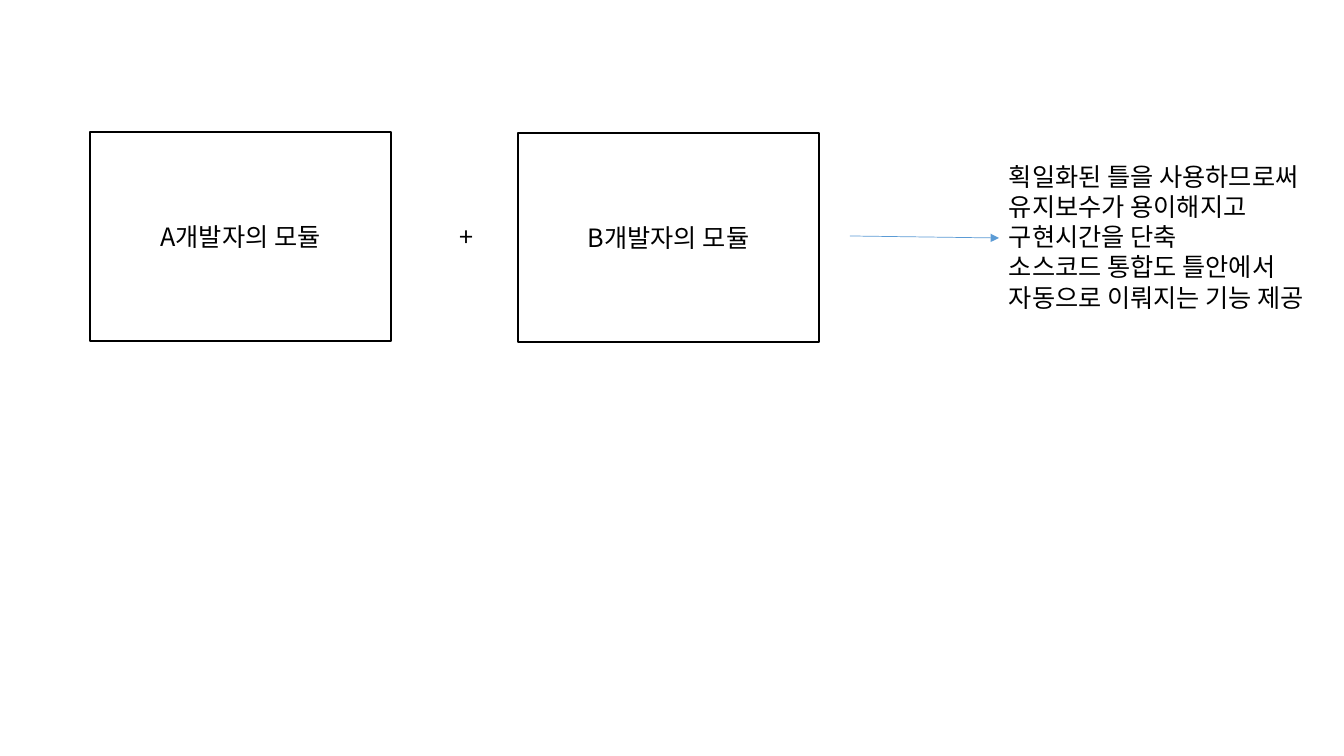
from lxml.etree import SubElement
from pptx import Presentation
from pptx.dml.color import RGBColor
from pptx.enum.shapes import MSO_CONNECTOR as Connector, MSO_SHAPE as Shape
from pptx.enum.text import MSO_ANCHOR as Anchor, PP_ALIGN as Align
from pptx.oxml.ns import qn
from pptx.util import Pt

EMU_PER_PIXEL = 914400 / 100.8
FONT = "Noto Sans CJK KR"
BLACK = "000000"
BLUE = "5B9BD5"
BENEFITS = [
    "획일화된 틀을 사용하므로써",
    "유지보수가 용이해지고",
    "구현시간을 단축",
    "소스코드 통합도 틀안에서 ",
    "자동으로 이뤄지는 기능 제공",
]


def px(*lengths):
    """Turn pixel lengths into EMU."""
    return [round(length * EMU_PER_PIXEL) for length in lengths]


def color(hex_code):
    """Turn a hex string into a colour."""
    return RGBColor.from_string(hex_code)


def write(frame, lines, align):
    """Fill a text frame with one paragraph per line."""
    frame.vertical_anchor = Anchor.MIDDLE
    for index, line in enumerate(lines):
        paragraph = frame.add_paragraph() if index else frame.paragraphs[0]
        paragraph.text = line
        paragraph.alignment = align
        paragraph.line_spacing = Pt(21.6)
        font = paragraph.font
        font.name, font.size = FONT, Pt(18)
        font.color.rgb = color(BLACK)
        defaults = paragraph._p.get_or_add_pPr().find(qn("a:defRPr"))
        SubElement(defaults, qn("a:ea"), typeface=FONT)


def add_module(slide, box, label):
    """Draw an outlined developer module with a centred label."""
    module = slide.shapes.add_shape(Shape.RECTANGLE, *px(*box))
    module.shadow.inherit = False
    module.fill.background()
    module.line.color.rgb = color(BLACK)
    module.line.width = Pt(1)
    write(module.text_frame, [label], Align.CENTER)


def add_text(slide, box, lines):
    """Place left-aligned lines that do not wrap."""
    frame = slide.shapes.add_textbox(*px(*box)).text_frame
    frame.word_wrap = False
    write(frame, lines, Align.LEFT)


def add_arrow(slide, start, end):
    """Draw a thin blue arrow between two points."""
    arrow = slide.shapes.add_connector(Connector.STRAIGHT, *px(*start, *end))
    arrow.line.color.rgb = color(BLUE)
    arrow.line.width = Pt(0.5)
    SubElement(arrow.line._get_or_add_ln(), qn("a:tailEnd"), type="triangle")
    SubElement(arrow._element.spPr, qn("a:effectLst"))


def add_integration(slide, left, top, width, height):
    """Lay out the two modules, the plus sign, the arrow and the benefits."""
    module_width = 301
    second_left = left + 428
    middle = top + height // 2
    benefits_left = left + width - 353
    add_module(slide, (left, top, module_width, height), "A개발자의 모듈")
    add_text(slide, (left + 360, middle - 20, 38, 40), ["+"])
    add_module(slide, (second_left, top + 1, module_width, height), "B개발자의 모듈")
    add_arrow(slide, (second_left + module_width + 31, middle), (benefits_left, middle + 2))
    add_text(slide, (benefits_left, middle - 81, 353, 163), BENEFITS)


def main():
    """Build and save the slide."""
    deck = Presentation()
    deck.slide_width, deck.slide_height = px(1344, 756)
    slide = deck.slides.add_slide(deck.slide_layouts[6])
    add_integration(slide, 90, 132, 1262, 209)
    deck.save("out.pptx")


main()
